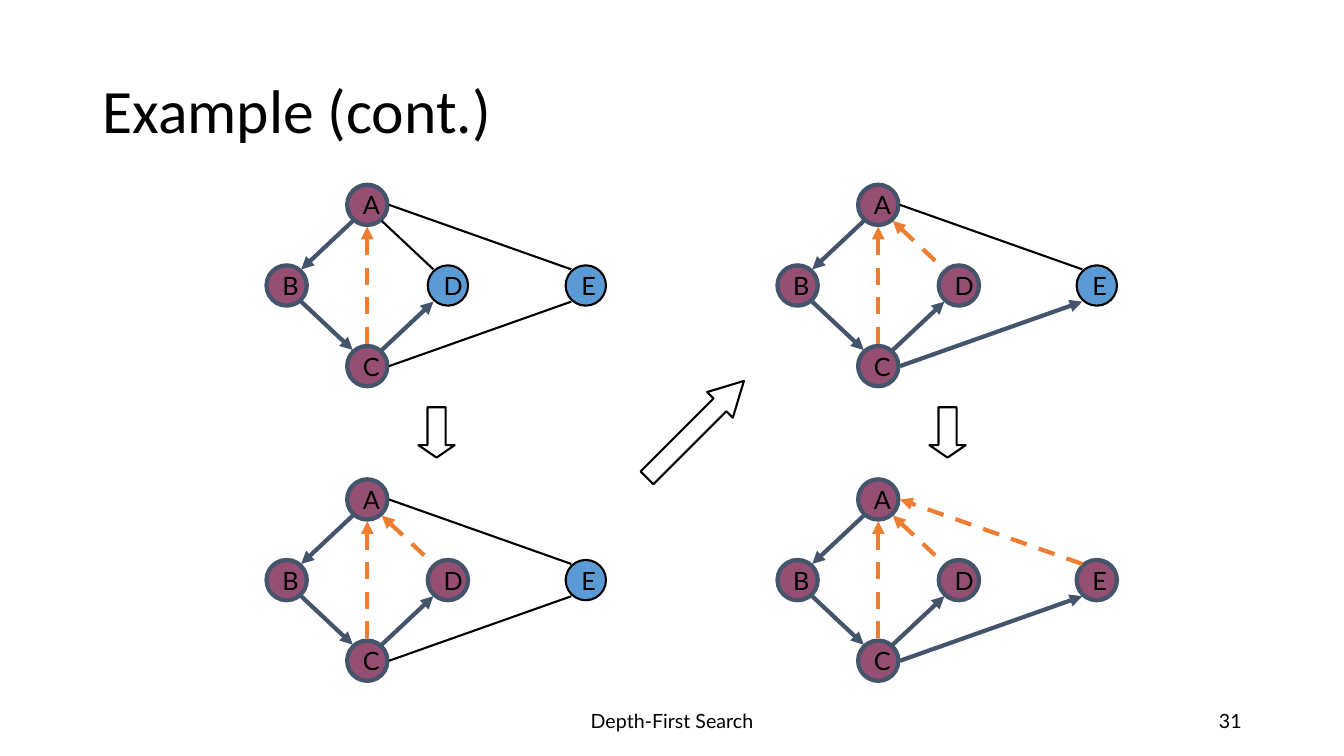
from dataclasses import dataclass

import pptx
import pptx.util
from lxml import etree
from pptx.dml.color import RGBColor
from pptx.enum.dml import MSO_LINE
from pptx.enum.shapes import MSO_CONNECTOR, MSO_SHAPE
from pptx.enum.text import MSO_ANCHOR, PP_ALIGN
from pptx.oxml.ns import qn

BLACK = RGBColor(0x00, 0x00, 0x00)
PLUM = RGBColor(0x95, 0x4F, 0x72)
SLATE = RGBColor(0x44, 0x54, 0x6A)
BLUE = RGBColor(0x5B, 0x9B, 0xD5)
ORANGE = RGBColor(0xED, 0x7D, 0x31)

WIDE, HIGH = pptx.util.Inches(13.333), pptx.util.Inches(7.5)


def across(share: float) -> int:
    """Turn a percentage of the slide's width into a length."""
    return round(WIDE * share / 100)


def down(share: float) -> int:
    """Turn a percentage of the slide's height into a length."""
    return round(HIGH * share / 100)


# Node grid: one cell is 6% of the slide's width, both ways
CELL = across(6)
RADIUS = CELL / 4
SPOTS = {"D": (2, 1), "B": (0, 1), "A": (1, 0), "C": (1, 2), "E": (3.71, 1)}
GAP = 0.27 * CELL                        # from a node's centre to a level or upright end
SLANT = (0.18 * CELL, 0.2 * CELL)        # from a node's centre to a slanted end


@dataclass
class Label:
    text: str
    left: float
    top: float
    width: float
    height: float
    size: int
    font: str
    align: PP_ALIGN
    lead: float = 1.0


@dataclass
class Graph:
    left: float      # centre of B, % of width
    top: float       # centre of A, % of height
    seen: str        # visited nodes
    tree: str        # discovery edges
    back: str        # back edges
    plain: str       # unexplored edges


@dataclass
class Arrow:
    mid: float
    row: float
    long: float
    turn: int
    head: float


@dataclass
class Pen:
    color: RGBColor
    width: float
    dash: bool = False


TREE, BACK, PLAIN = Pen(SLATE, 3), Pen(ORANGE, 3, True), Pen(BLACK, 1.5)

LABELS = [
    Label("Depth-First Search", 33.13, 92.67, 33.75, 5.33, 14, "Lato", PP_ALIGN.CENTER),
    Label("31", 70.63, 92.67, 22.5, 5.33, 14, "Lato", PP_ALIGN.RIGHT),
    Label("Example (cont.)", 6.88, 5.33, 86.25, 19.33, 44, "Calibri", PP_ALIGN.LEFT, 0.9),
]

# Each edge names its two ends; < or > marks the end with the arrowhead
COLS, ROWS = (21.33, 59.35), (27.1, 66.07)
GRAPHS = [
    Graph(COLS[0], ROWS[1], "ABCD", "A>B B>C C>D", "A<D A<C", "C-E E-A"),
    Graph(COLS[1], ROWS[0], "ABCD", "A>B B>C C>D C>E", "A<D A<C", "E-A"),
    Graph(COLS[1], ROWS[1], "ABCDE", "A>B B>C C>D C>E", "A<D A<C E>A", ""),
    Graph(COLS[0], ROWS[0], "ABC", "A>B B>C C>D", "A<C", "A-D C-E E-A"),
]

ARROWS = [
    Arrow(70.5, 57.2, 3.75, 90, 0.343),
    Arrow(51.75, 56.8, 10.2, -45, 0.932),
    Arrow(32.48, 57.2, 3.75, 90, 0.343),
]


def label(shapes, item: Label) -> None:
    box = shapes.add_textbox(across(item.left), down(item.top),
                             across(item.width), down(item.height))
    frame = box.text_frame
    frame.word_wrap = True
    frame.vertical_anchor = MSO_ANCHOR.MIDDLE
    para = frame.paragraphs[0]
    para.text = item.text
    para.alignment = item.align
    para.line_spacing = item.lead
    style(para, item.size, item.font)


def style(para, size: int, font: str) -> None:
    para.font.size = pptx.util.Pt(size)
    para.font.name = font
    para.font.color.rgb = BLACK


def stroke(line, pen: Pen) -> None:
    line.color.rgb = pen.color
    line.width = pptx.util.Pt(pen.width)
    if pen.dash:
        line.dash_style = MSO_LINE.DASH


def node(shapes, name: str, x: float, y: float, seen: bool) -> None:
    dot = shapes.add_shape(MSO_SHAPE.OVAL, round(x - RADIUS), round(y - RADIUS),
                           round(2 * RADIUS), round(2 * RADIUS))
    dot.shadow.inherit = False
    dot.fill.solid()
    dot.fill.fore_color.rgb = PLUM if seen else BLUE
    stroke(dot.line, TREE if seen else PLAIN)
    frame = dot.text_frame
    frame.word_wrap = False
    frame.vertical_anchor = MSO_ANCHOR.MIDDLE
    para = frame.paragraphs[0]
    para.text = name
    para.alignment = PP_ALIGN.LEFT
    style(para, 18, "Lato")


def rim(spot: tuple, goal: tuple) -> tuple:
    """Find where an edge towards goal leaves the node at spot."""
    dx, dy = goal[0] - spot[0], goal[1] - spot[1]
    way = 1 if dy > 0 else -1
    if dx == 0:
        return spot[0], spot[1] + way * GAP
    if dx > 2 * CELL:
        return spot[0] + GAP, spot[1]
    side = 1 if dx > 0 else -1
    return spot[0] + side * SLANT[0], spot[1] + way * SLANT[1]


def edge(shapes, mark: str, spots: dict, pen: Pen) -> None:
    start, tip, end = mark
    points = rim(spots[start], spots[end]) + rim(spots[end], spots[start])
    line = shapes.add_connector(MSO_CONNECTOR.STRAIGHT, *map(round, points))
    stroke(line.line, pen)
    if tip != "-":
        tag = "a:headEnd" if tip == "<" else "a:tailEnd"
        etree.SubElement(line.line._get_or_add_ln(), qn(tag), type="triangle")
    etree.SubElement(line._element.spPr, qn("a:effectLst"))


def graph(shapes, item: Graph) -> None:
    group = shapes.add_group_shape().shapes
    spots = {name: (across(item.left) + col * CELL, down(item.top) + row * CELL)
             for name, (col, row) in SPOTS.items()}
    for name, (x, y) in spots.items():
        node(group, name, x, y, name in item.seen)
    for marks, pen in ((item.tree, TREE), (item.back, BACK), (item.plain, PLAIN)):
        for mark in marks.split():
            edge(group, mark, spots, pen)


def arrow(shapes, item: Arrow) -> None:
    long, thick = across(item.long), down(4.8)
    block = shapes.add_shape(MSO_SHAPE.RIGHT_ARROW, across(item.mid) - long // 2,
                             down(item.row) - thick // 2, long, thick)
    block.shadow.inherit = False
    block.rotation = item.turn
    block.adjustments[0] = 0.5
    block.adjustments[1] = item.head
    block.fill.background()
    stroke(block.line, PLAIN)


def main() -> None:
    deck = pptx.Presentation()
    deck.slide_width, deck.slide_height = WIDE, HIGH
    shapes = deck.slides.add_slide(deck.slide_layouts[6]).shapes

    # Title and footer
    for item in LABELS:
        label(shapes, item)

    # Four stages of the search
    for item in GRAPHS:
        graph(shapes, item)

    # Block arrows between stages
    for item in ARROWS:
        arrow(shapes, item)

    deck.save("out.pptx")


if __name__ == "__main__":
    main()
